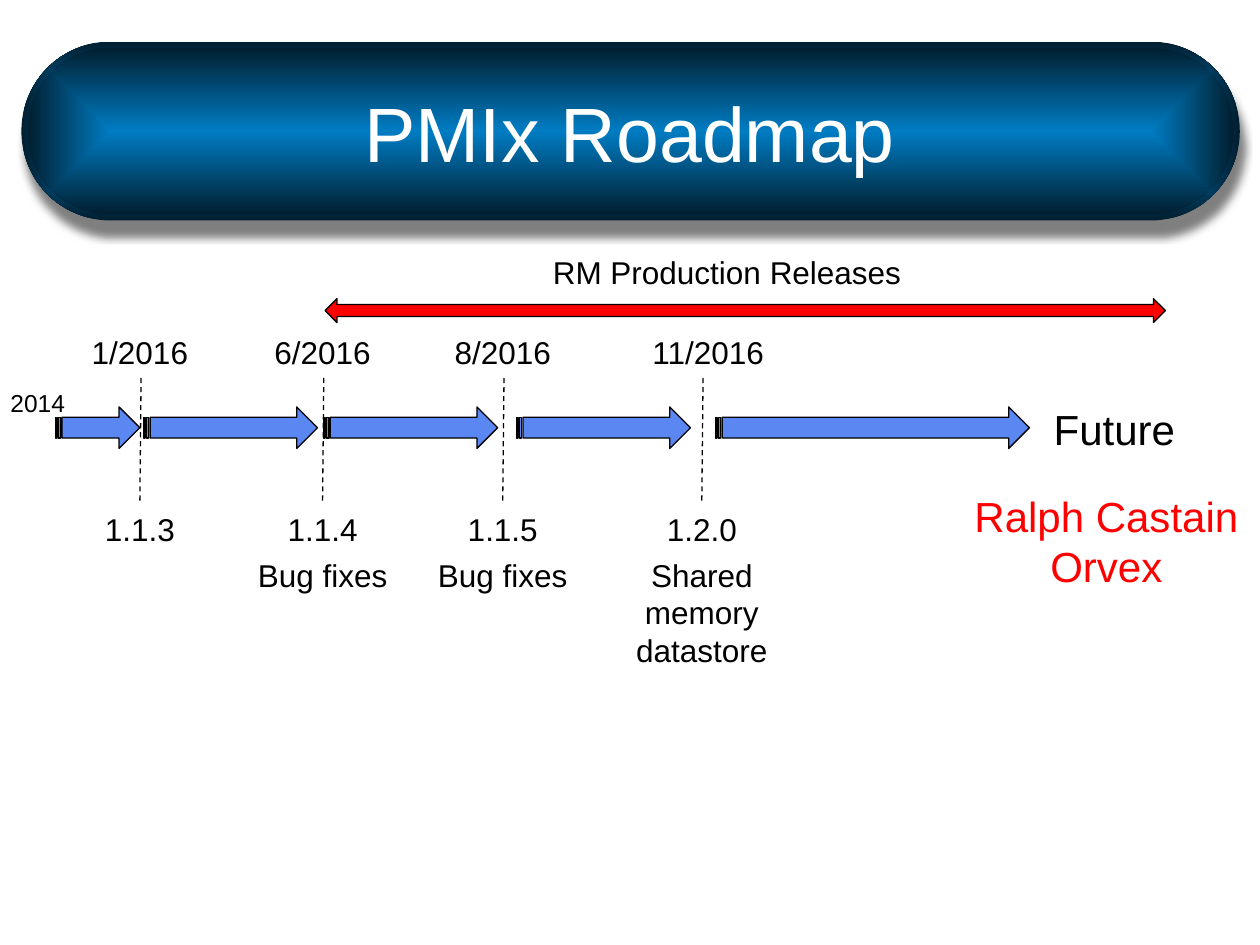
from lxml.etree import SubElement
from pptx import Presentation
from pptx.dml.color import RGBColor
from pptx.enum.dml import MSO_LINE_DASH_STYLE as Dash
from pptx.enum.shapes import MSO_CONNECTOR as Connector, MSO_SHAPE as Shape
from pptx.enum.text import MSO_ANCHOR as Anchor, MSO_AUTO_SIZE as AutoSize, PP_ALIGN as Align
from pptx.oxml.ns import qn
from pptx.util import Inches, Pt

COLORS = {"glow": "007CC3", "edge": "011F30", "title": "FFFFFF", "ink": "000000",
          "phase": "5B87F2", "accent": "FF0000"}
FONT = "Arial"
WIDTH, HEIGHT = 10, 7.5
ROW = 0.4
MILESTONES = [
    (1.11, 0, "1/2016", "1.1.3", []),
    (2.56, 0, "6/2016", "1.1.4", ["Bug fixes"]),
    (3.99, 0, "8/2016", "1.1.5", ["Bug fixes"]),
    (5.57, 0.05, "11/2016", "1.2.0", ["Shared memory", "datastore"]),
]
PHASES = [(0.44, 0.67), (1.14, 1.38), (2.57, 1.38), (4.1, 1.38), (5.68, 2.49)]


def color(name):
    return RGBColor.from_string(COLORS[name])


def inches(box):
    return [Inches(length) for length in box]


def write(frame, lines, size, ink):
    for index, line in enumerate(lines):
        paragraph = frame.paragraphs[0] if index == 0 else frame.add_paragraph()
        paragraph.alignment = Align.CENTER
        run = paragraph.add_run()
        run.text = line
        run.font.name, run.font.size = FONT, Pt(size)
        run.font.color.rgb = color(ink)


def add_label(slide, box, lines, size=18, ink="ink", wrap=False):
    frame = slide.shapes.add_textbox(*inches(box)).text_frame
    frame.word_wrap = wrap
    frame.auto_size = AutoSize.SHAPE_TO_FIT_TEXT
    frame.margin_left = frame.margin_right = 0
    write(frame, lines, size, ink)


def add_arrow(slide, kind, box, fill):
    arrow = slide.shapes.add_shape(kind, *inches(box))
    arrow.shadow.inherit = False
    arrow.fill.solid()
    arrow.fill.fore_color.rgb = color(fill)
    arrow.line.color.rgb = color("ink")
    arrow.line.width = Pt(0.75)


def add_pill(slide, box):
    pill = slide.shapes.add_shape(Shape.ROUNDED_RECTANGLE, *inches(box))
    pill.adjustments[0] = 0.5
    pill.shadow.inherit = False
    pill.line.fill.background()
    pill.fill.gradient()
    for stop, name in zip(pill.fill.gradient_stops, ("glow", "edge")):
        stop.color.rgb = color(name)
    gradient = pill._element.spPr.find(qn("a:gradFill"))
    gradient.remove(gradient.find(qn("a:lin")))
    shading = SubElement(gradient, qn("a:path"), {"path": "shape"})
    SubElement(shading, qn("a:fillToRect"), dict.fromkeys("ltrb", "50000"))
    return pill


def add_banner(slide, box, rim=0.05):
    left, top, width, height = box
    base = add_pill(slide, box)
    effects = base._element.spPr.find(qn("a:effectLst"))
    shadow = SubElement(effects, qn("a:outerShdw"), {
        "blurRad": str(Pt(5)), "dist": str(Pt(9.2)), "dir": str(77 * 60000),
        "algn": "ctr", "rotWithShape": "0"})
    tint = SubElement(shadow, qn("a:srgbClr"), {"val": COLORS["ink"]})
    SubElement(tint, qn("a:alpha"), {"val": "50000"})
    add_pill(slide, (left + rim, top + rim, width - 2 * rim, height - 2 * rim))

    title = slide.shapes.title
    title.left, title.top, title.width, title.height = inches(
        (0.075 * WIDTH, 0.42, 0.85 * WIDTH, 1.25))
    title.text_frame.vertical_anchor = Anchor.MIDDLE
    write(title.text_frame, ["PMIx Roadmap"], 44, "title")
    slide.shapes._spTree.append(title._element)


def add_production_span(slide, box):
    left, top, width, height = box
    add_label(slide, (4.29, top, 2.96, ROW), ["RM Production Releases"])
    add_arrow(slide, Shape.LEFT_RIGHT_ARROW, (left, top + 0.41, width, height - 0.41), "accent")


def add_milestone(slide, box, date_shift, date, version, notes):
    left, top, width, height = box
    center = left + width / 2
    add_label(slide, (left + date_shift, top, width, ROW), [date])
    marker = slide.shapes.add_connector(
        Connector.STRAIGHT, *inches((center + 0.01, top + 0.41, center, top + 1.41)))
    marker.line.color.rgb = color("ink")
    marker.line.width = Pt(0.75)
    marker.line.dash_style = Dash.DASH
    SubElement(marker._element.spPr, qn("a:effectLst"))
    add_label(slide, (left, top + 1.41, width, ROW), [version])
    if notes:
        add_label(slide, (left, top + 1.77, width, height - 1.77), notes, wrap=True)


def add_timeline(slide, box):
    left, top, width, height = box
    for center, date_shift, date, version, notes in MILESTONES:
        add_milestone(slide, (center - 0.64, top, 1.28, height),
                      date_shift, date, version, notes)
    for start, length in PHASES:
        add_arrow(slide, Shape.STRIPED_RIGHT_ARROW, (start, top + 0.64, length, 0.33), "phase")
    add_label(slide, (left, top + 0.44, 0.6, 0.34), ["2014"], size=14)
    add_label(slide, (left + width - 1.17, top + 0.56, 1.17, 0.5), ["Future"], size=24)


def add_presenter(slide, box):
    add_label(slide, box, ["Ralph Castain", "Orvex"], size=24, ink="accent")


def main():
    deck = Presentation()
    deck.slide_width, deck.slide_height = inches((WIDTH, HEIGHT))
    slide = deck.slides.add_slide(deck.slide_layouts[5])
    add_banner(slide, (0.17, 0.33, 9.67, 1.42))
    add_production_span(slide, (2.58, 1.96, 6.67, 0.6))
    add_timeline(slide, (0, 2.59, 9.43, 2.78))
    add_presenter(slide, (7.62, 3.84, 2.32, 0.91))
    deck.save("out.pptx")


if __name__ == "__main__":
    main()
